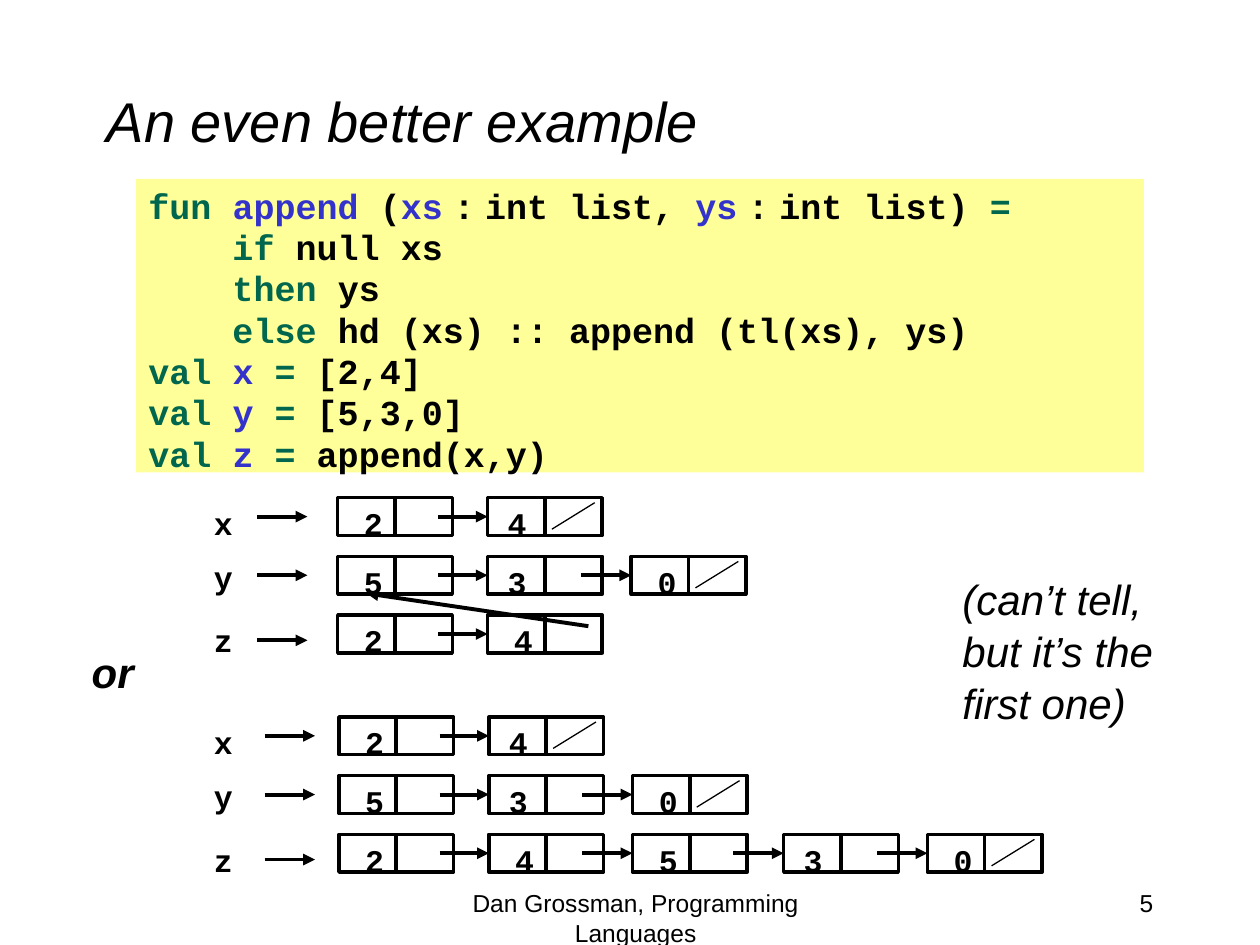
from pptx import Presentation
from pptx.dml.color import RGBColor
from pptx.enum.shapes import MSO_CONNECTOR, MSO_SHAPE
from pptx.enum.text import MSO_ANCHOR, PP_ALIGN
from pptx.oxml.ns import qn
from pptx.util import Inches, Pt
from lxml import etree

RECT = MSO_SHAPE.RECTANGLE
STRAIGHT = MSO_CONNECTOR.STRAIGHT
TOP, MIDDLE = MSO_ANCHOR.TOP, MSO_ANCHOR.MIDDLE
LEFT, CENTER, RIGHT = PP_ALIGN.LEFT, PP_ALIGN.CENTER, PP_ALIGN.RIGHT
LEFT_SIDE = 1
COLS, ROWS = 100, 75
BLACK, GREEN, BLUE, YELLOW = "000000", "00664D", "3333CC", "FFFF99"
SANS, MONO = "Arial", "Courier New"

CODE = [
    [("fun ", GREEN), ("append ", BLUE), ("(", BLACK), ("xs", BLUE), (" ", BLUE),
     (":", BLACK), (" ", BLACK), ("int list, ", BLACK), ("ys", BLUE), (" ", BLUE),
     (":", BLACK), (" ", BLACK), ("int list) ", BLACK), ("=", GREEN)],
    [("    if", GREEN), (" null xs", BLACK)],
    [("    then ", GREEN), ("ys", BLACK)],
    [("    else ", GREEN), ("hd (xs) :: append (tl(xs), ys)", BLACK)],
    *[[("val ", GREEN), (name + " ", BLUE), ("= ", GREEN), (value, BLACK)]
      for name, value in (("x", "[2,4]"), ("y", "[5,3,0]"), ("z", "append(x,y)"))],
]

CELL_LEFTS = (0, 11.9, 23.3, 35.3, 46.7)
CELL_WIDTH, CELL_HEIGHT = 9.1, 3
ROW_PITCH = 4.66
LEAD_DROPS = (1.5, 1.5, 2)
LABEL_DROPS = (0, -0.4, 0)


def color(code):
    return RGBColor.from_string(code)


def write(para, text, size=18, font=MONO, ink=BLACK, bold=False, slant=False):
    run = para.add_run()
    run.text = text
    face = run.font
    face.size, face.name = Pt(size), font
    face.bold, face.italic = bold, slant
    face.color.rgb = color(ink)


class Deck:
    def __init__(self):
        self.show = Presentation()
        self.show.slide_width, self.show.slide_height = Inches(10), Inches(7.5)
        self.slide = self.show.slides.add_slide(self.show.slide_layouts[6])
        self.shapes = self.slide.shapes

    def col(self, count):
        return round(self.show.slide_width * count / COLS)

    def row(self, count):
        return round(self.show.slide_height * count / ROWS)

    def place(self, left, top, width, height):
        return self.col(left), self.row(top), self.col(width), self.row(height)

    def text(self, lines, *area, align=LEFT, anchor=TOP, wrap=True, gap=0, **style):
        frame = self.shapes.add_textbox(*self.place(*area)).text_frame
        frame.word_wrap = wrap
        frame.vertical_anchor = anchor
        for rank, line in enumerate(lines.split("\n")):
            para = frame.add_paragraph() if rank else frame.paragraphs[0]
            para.alignment = align
            para.space_before = Pt(gap if rank else 0)
            write(para, line, **style)

    def box(self, *area, fill=None, edge=None):
        shape = self.shapes.add_shape(RECT, *self.place(*area))
        shape.shadow.inherit = False
        if fill:
            shape.fill.solid()
            shape.fill.fore_color.rgb = color(fill)
        else:
            shape.fill.background()
        if edge:
            shape.line.color.rgb = color(BLACK)
            shape.line.width = Pt(edge)
        else:
            shape.line.fill.background()
        return shape

    def line(self, x1, y1, x2, y2, width=2, head=False, goal=None):
        link = self.shapes.add_connector(
            STRAIGHT, self.col(x1), self.row(y1), self.col(x2), self.row(y2))
        link.line.color.rgb = color(BLACK)
        link.line.width = Pt(width)
        if head:
            tip = etree.SubElement(link.line._get_or_add_ln(), qn("a:tailEnd"))
            tip.set("type", "triangle")
        etree.SubElement(link._element.spPr, qn("a:effectLst"))
        if goal is not None:
            link.end_connect(goal, LEFT_SIDE)

    def arrow(self, *ends, goal=None):
        self.line(*ends, width=2.25, head=True, goal=goal)

    def code(self, lines, *area):
        frame = self.box(*area, fill=YELLOW).text_frame
        frame.word_wrap = True
        frame.vertical_anchor = TOP
        frame.margin_top = Inches(0.08)
        for rank, line in enumerate(lines):
            para = frame.add_paragraph() if rank else frame.paragraphs[0]
            para.alignment = LEFT
            para.line_spacing = 0.9
            para.space_before = Pt(2 if rank else 0)
            props = para._p.get_or_add_pPr()
            props.set("marL", str(Inches(0.38)))
            props.set("indent", str(-Inches(0.38)))
            for part, ink in line:
                write(para, part, size=10 if part == " " else 20, ink=ink, bold=True)

    def chain(self, digits, left, top, closed=True):
        start = None
        for rank, (digit, shift) in enumerate(zip(digits, CELL_LEFTS)):
            x = left + shift
            cell = self.box(x, top, CELL_WIDTH, CELL_HEIGHT, edge=2)
            half = x + CELL_WIDTH / 2
            self.line(half, top, half, top + CELL_HEIGHT)
            inset = 0.6 if rank % 2 and digits[:2] != "24" or digits == "24" and closed and rank else 1.1
            if rank == 3:
                inset = 0.6
            self.text(digit, x + inset, top, 3.1, 2.5, wrap=False, bold=True)
            middle = top + CELL_HEIGHT / 2
            if start is not None:
                self.arrow(start, middle, x, middle, goal=cell)
            start = x + (7.4 if rank % 2 else 8)
        if closed:
            self.line(x + 5.1, top + 2.5, x + 8.5, top + 0.4, width=0.75)

    def lists(self, last, left, top, lead, closed):
        for rank, (name, digits) in enumerate(zip("xyz", ("24", "530", last))):
            y = top + rank * ROW_PITCH
            self.text(name, 16, y + LABEL_DROPS[rank], 3, 2.5, wrap=False, bold=True)
            level = y + LEAD_DROPS[rank]
            self.arrow(lead, level, lead + 4, level)
            self.chain(digits, left, y, closed or rank < 2)


def main():
    deck = Deck()
    deck.text("An even better example", 7.5, 3.3, 85, 12.5,
              anchor=MIDDLE, size=32, font=SANS, slant=True)
    deck.text("5", 71.7, 70, 20.8, 5, align=RIGHT, size=14, font=SANS)
    deck.text("Dan Grossman, Programming Languages", 31.7, 70, 37.5, 5,
              align=CENTER, size=14, font=SANS)
    deck.code(CODE, 10.8, 14.2, 80, 23.3)
    deck.lists("24", 26.8, 39.5, 20.4, closed=False)
    deck.arrow(46.7, 49.7, 29.1, 47.1)
    deck.lists("24530", 26.9, 56.9, 21, closed=True)
    deck.text("or", 6.3, 50.8, 5.4, 5, wrap=False,
              size=24, font=SANS, bold=True, slant=True)
    deck.text("(can’t tell,\nbut it’s the\nfirst one)", 75.4, 45, 18.2, 13.1,
              wrap=False, gap=1, size=24, font=SANS, slant=True)
    deck.show.save("out.pptx")


if __name__ == "__main__":
    main()
